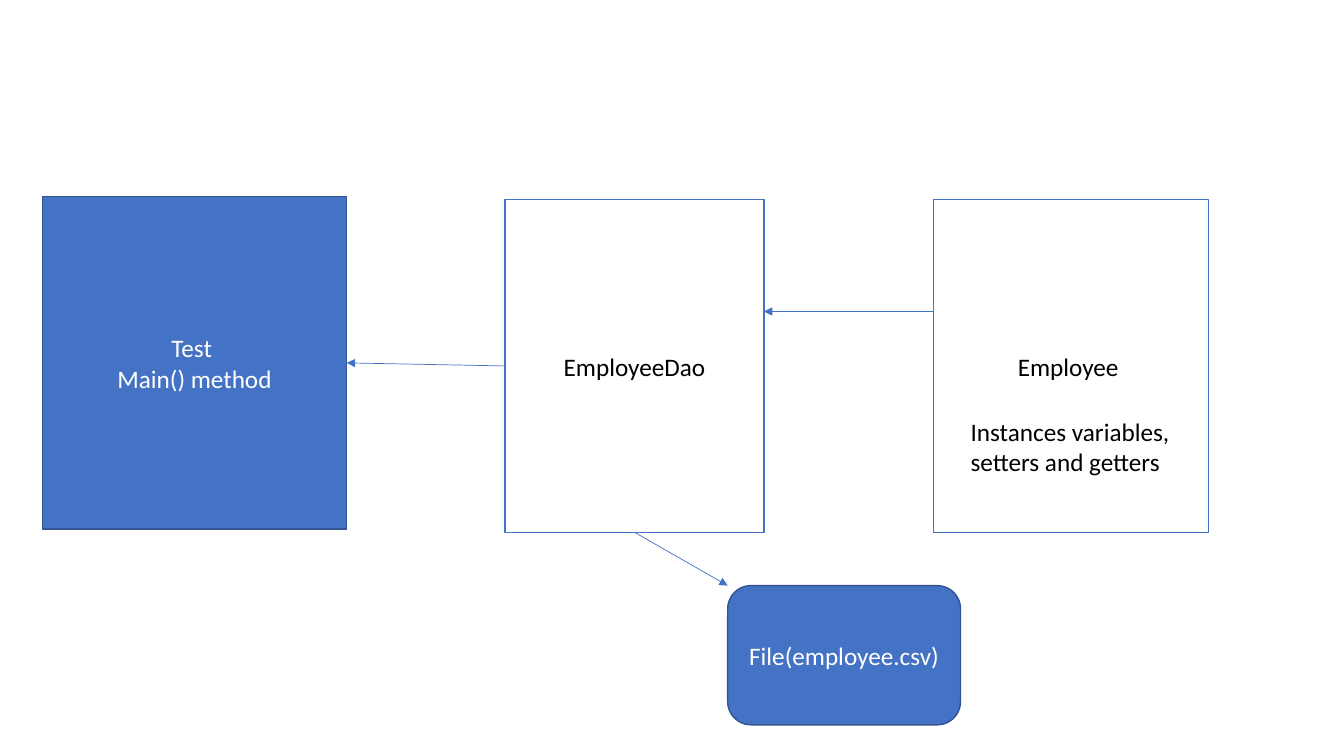
from pptx import Presentation
from pptx.dml.color import RGBColor
from pptx.enum.shapes import MSO_CONNECTOR, MSO_SHAPE
from pptx.enum.text import MSO_ANCHOR, MSO_AUTO_SIZE, PP_ALIGN
from pptx.oxml.ns import qn
from pptx.util import Pt
from lxml import etree

RECTANGLE = MSO_SHAPE.RECTANGLE
ROUNDED = MSO_SHAPE.ROUNDED_RECTANGLE
STRAIGHT = MSO_CONNECTOR.STRAIGHT
MIDDLE = MSO_ANCHOR.MIDDLE
FIT_SHAPE = MSO_AUTO_SIZE.SHAPE_TO_FIT_TEXT
LEFT, CENTER = PP_ALIGN.LEFT, PP_ALIGN.CENTER

BLUE, DARK_BLUE, WHITE, BLACK = "4472C4", "325491", "FFFFFF", "000000"
CLASS_HEIGHT = 237.6


def color(hex_string):
    return RGBColor.from_string(hex_string)


def write_lines(text_frame, lines, text_color, alignment):
    """Fill the frame with one paragraph per line."""
    text_frame.word_wrap = True
    for index, line in enumerate(lines):
        paragraph = text_frame.add_paragraph() if index else text_frame.paragraphs[0]
        paragraph.alignment = alignment
        run = paragraph.add_run()
        run.text = line
        run.font.name = "Calibri"
        run.font.size = Pt(18)
        run.font.color.rgb = color(text_color)


presentation = Presentation()
presentation.slide_width, presentation.slide_height = Pt(960), Pt(540)
slide = presentation.slides.add_slide(presentation.slide_layouts[6])

# Boxes: preset, left, top, width, height, fill, outline, text color, lines
boxes = [
    (RECTANGLE, 666.7, 142.6, 196.6, CLASS_HEIGHT, WHITE, BLUE, BLACK, ["Employee "]),
    (RECTANGLE, 30.2, 140.4, 217.5, CLASS_HEIGHT, BLUE, DARK_BLUE, WHITE,
     ["Test ", "Main() method"]),
    (RECTANGLE, 360.7, 142.6, 185, CLASS_HEIGHT, WHITE, BLUE, BLACK, ["EmployeeDao"]),
    (ROUNDED, 519.8, 418.3, 166.3, 99.4, BLUE, DARK_BLUE, WHITE, ["File(employee.csv)"]),
]
for preset, left, top, width, height, fill, outline, text_color, lines in boxes:
    box = slide.shapes.add_shape(preset, Pt(left), Pt(top), Pt(width), Pt(height))
    box.shadow.inherit = False
    box.fill.solid()
    box.fill.fore_color.rgb = color(fill)
    box.line.color.rgb = color(outline)
    box.line.width = Pt(1)
    box.text_frame.vertical_anchor = MIDDLE
    write_lines(box.text_frame, lines, text_color, CENTER)

# Note inside the Employee box
note = slide.shapes.add_textbox(Pt(686.2), Pt(293.8), Pt(157), Pt(51))
write_lines(note.text_frame, ["Instances variables, setters and getters"], BLACK, LEFT)
note.text_frame.auto_size = FIT_SHAPE

# Arrows: start x, start y, end x, end y
arrows = [
    (453.2, 380.2, 519.8, 418.3),
    (666.7, 222.5, 545.7, 222.5),
    (360.7, 261.4, 247.7, 259.2),
]
for ends in arrows:
    arrow = slide.shapes.add_connector(STRAIGHT, *map(Pt, ends))
    arrow.line.color.rgb = color(BLUE)
    arrow.line.width = Pt(0.5)
    properties = arrow.element.spPr
    etree.SubElement(properties.find(qn("a:ln")), qn("a:tailEnd"), type="triangle")
    etree.SubElement(properties, qn("a:effectLst"))

presentation.save("out.pptx")
